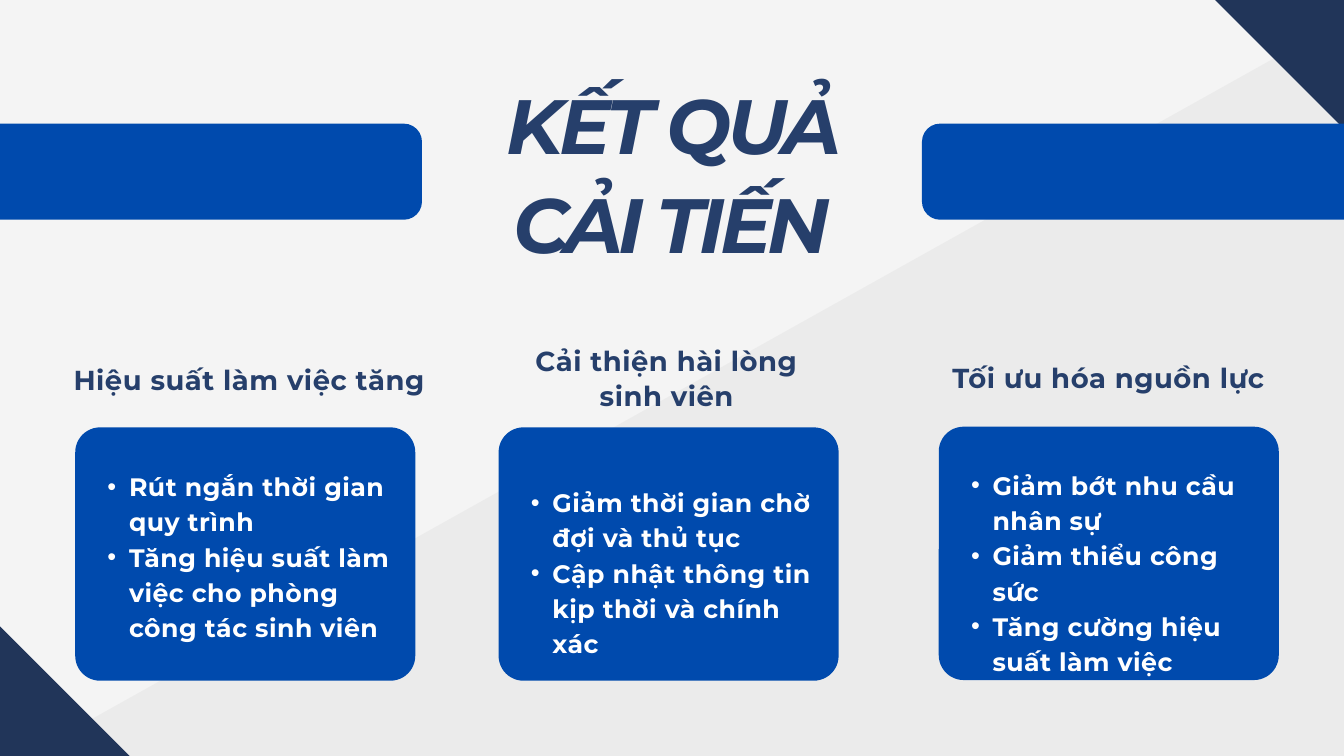
import pptx
import pptx.dml.color
import pptx.enum.shapes
import pptx.enum.text
import pptx.oxml
import pptx.oxml.ns
import pptx.util

PX = 9144  # EMU in one px, 100 px to the inch
COLORS = {"paper": "F4F4F4", "shade": "545454", "corner": "213559",
          "blue": "004AAD", "navy": "263F6B", "white": "FFFFFF"}
CENTER = pptx.enum.text.PP_ALIGN.CENTER
LEFT = pptx.enum.text.PP_ALIGN.LEFT
SHAPES = pptx.enum.shapes.MSO_SHAPE

# Text formats: font attributes, letter spacing in 1/100 pt, line height in pt
TITLE = {"font": {"size": 82.4, "bold": True, "italic": True}, "color": "navy",
         "tracking": -480, "line": 105.4, "align": CENTER}
HEADING = {"font": {"size": 29.4, "bold": True}, "color": "navy",
           "tracking": 60, "line": 37.9, "align": CENTER}
BULLETS = {"font": {"size": 27, "bold": True}, "color": "white",
           "tracking": 50, "line": 37.8, "align": LEFT, "indent": 32}

# Card left and top, heading box, top of the bullets, wording
CARDS = [
    {"at": (112, 636), "heading_box": (86, 536, 570, 50), "bullets_top": 694,
     "heading": "Hiệu suất làm việc tăng",
     "bullets": ["Rút ngắn thời gian quy trình",
                 "Tăng hiệu suất làm việc cho phòng công tác sinh viên"]},
    {"at": (742, 636), "heading_box": (747, 508, 490, 103), "bullets_top": 718,
     "heading": "Cải thiện hài lòng sinh viên",
     "bullets": ["Giảm thời gian chờ đợi và thủ tục",
                 "Cập nhật thông tin kịp thời và chính xác"]},
    {"at": (1397, 635), "heading_box": (1372, 534, 555, 50), "bullets_top": 692,
     "heading": "Tối ưu hóa nguồn lực",
     "bullets": ["Giảm bớt nhu cầu nhân sự", "Giảm thiểu công sức",
                 "Tăng cường hiệu suất làm việc"]},
]


def emu(box):
    return [pptx.util.Emu(value * PX) for value in box]


def rgb(name):
    return pptx.dml.color.RGBColor.from_string(COLORS[name])


def add_block(slide, box, color, radius=0, rotation=0):
    kind = SHAPES.ROUNDED_RECTANGLE if radius else SHAPES.RECTANGLE
    block = slide.shapes.add_shape(kind, *emu(box))
    if radius:
        block.adjustments[0] = radius / min(box[2:])
    block.rotation = rotation
    block.shadow.inherit = False
    block.fill.solid()
    block.fill.fore_color.rgb = rgb(color)
    block.line.fill.background()
    return block


def write_text(holder, lines, style):
    frame = holder.text_frame
    settings = {"word_wrap": True, "margin_left": 0, "margin_top": 0,
                "margin_right": 0, "margin_bottom": 0,
                "auto_size": pptx.enum.text.MSO_AUTO_SIZE.NONE,
                "vertical_anchor": pptx.enum.text.MSO_ANCHOR.TOP}
    for name, value in settings.items():
        setattr(frame, name, value)
    for index, line in enumerate(lines):
        paragraph = frame.paragraphs[0] if index == 0 else frame.add_paragraph()
        paragraph.alignment = style["align"]
        paragraph.line_spacing = pptx.util.Pt(style["line"])
        if "indent" in style:
            add_bullet(paragraph, style["indent"] * PX)
        run = paragraph.add_run()
        run.text = line
        font = {**style["font"], "name": "Montserrat",
                "size": pptx.util.Pt(style["font"]["size"])}
        for name, value in font.items():
            setattr(run.font, name, value)
        run.font.color.rgb = rgb(style["color"])
        run.font._element.set("spc", str(style["tracking"]))


def add_bullet(paragraph, indent):
    paragraph.level = 1
    properties = paragraph._p.get_or_add_pPr()
    properties.set("marL", str(2 * indent))
    properties.set("indent", str(-indent))
    for tag, name, value in (("a:buFont", "typeface", "Arial"), ("a:buChar", "char", "•")):
        bullet = pptx.oxml.parse_xml(f"<{tag} {pptx.oxml.ns.nsdecls('a')}/>")
        bullet.set(name, value)
        properties.append(bullet)


def add_backdrop(slide):
    slide.background.fill.solid()
    slide.background.fill.fore_color.rgb = rgb("paper")
    shade = add_block(slide, (-74, 476, 2820, 1048), "shade", rotation=330.8)
    tint = shade.fill._xPr.find(".//" + pptx.oxml.ns.qn("a:srgbClr"))
    tint.append(pptx.oxml.parse_xml(
        f'<a:alpha {pptx.oxml.ns.nsdecls("a")} val="5000"/>'))
    for left, top in ((-289, 989), (1711, -136)):
        add_block(slide, (left, top, 579, 272), "corner", rotation=45)


def add_header(slide, box):
    left, top, width, height = box
    # Bars that run off both edges
    for bar_left in (left - 950, left + 697):
        add_block(slide, (bar_left, top + 77, 903, 143), "blue", radius=27)
    title = slide.shapes.title
    title.left, title.top, title.width, title.height = emu(box)
    write_text(title, ["KẾT QUẢ CẢI TIẾN"], TITLE)
    # Bring the title in front of the backdrop
    slide.shapes._spTree.append(title._element)


def add_card(slide, card):
    left, top = card["at"]
    add_block(slide, (left, top, 506, 377), "blue", radius=37)
    heading = slide.shapes.add_textbox(*emu(card["heading_box"]))
    write_text(heading, [card["heading"]], HEADING)
    bullets = slide.shapes.add_textbox(
        *emu((left + 16, card["bullets_top"], 474, 257)))
    write_text(bullets, card["bullets"], BULLETS)


def main():
    deck = pptx.Presentation()
    deck.slide_width, deck.slide_height = emu((2000, 1125))
    slide = deck.slides.add_slide(deck.slide_layouts[5])
    add_backdrop(slide)
    add_header(slide, (675, 107, 649, 290))
    for card in CARDS:
        add_card(slide, card)
    deck.save("out.pptx")


if __name__ == "__main__":
    main()
